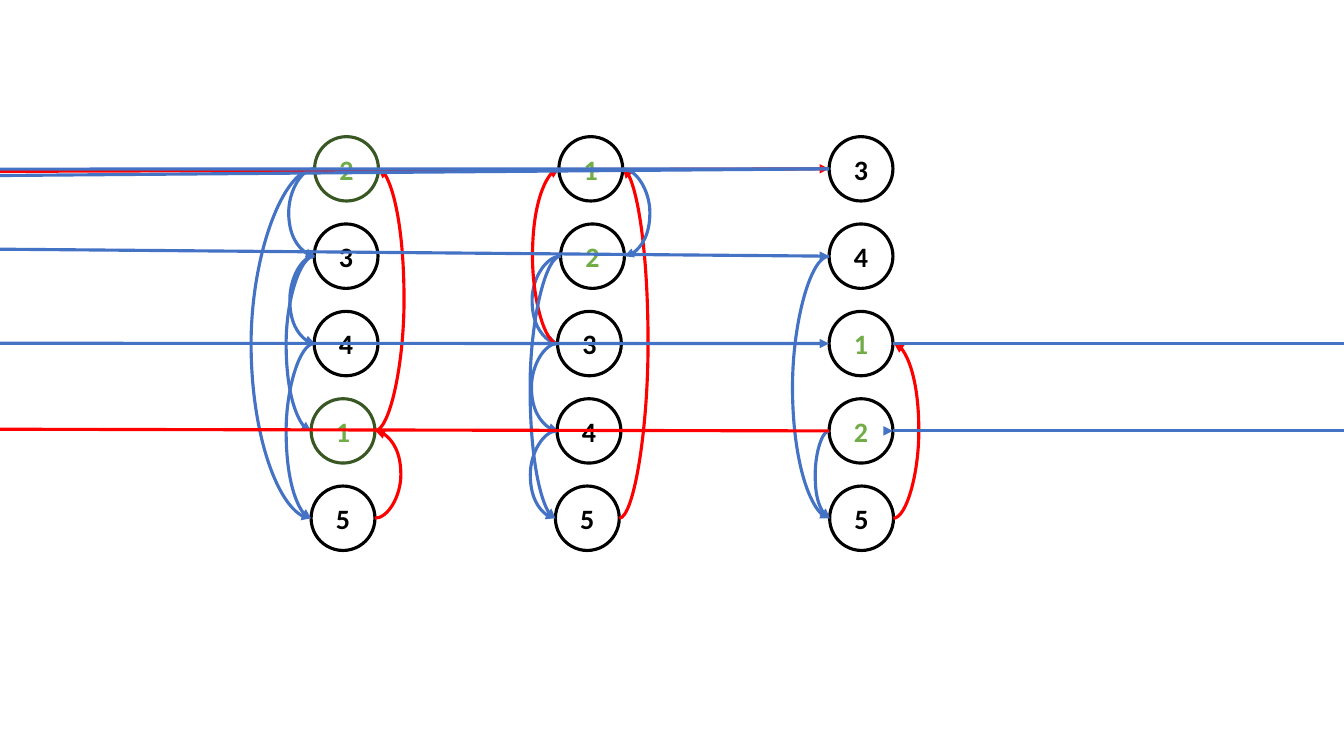
from lxml.etree import SubElement
from pptx import Presentation
from pptx.dml.color import RGBColor
from pptx.enum.shapes import MSO_CONNECTOR as LINK, MSO_SHAPE
from pptx.enum.text import MSO_ANCHOR, PP_ALIGN
from pptx.oxml.ns import qn
from pptx.util import Pt

BLACK = RGBColor(0x00, 0x00, 0x00)
WHITE = RGBColor(0xFF, 0xFF, 0xFF)
DARK_GREEN = RGBColor(0x38, 0x57, 0x23)
GREEN = RGBColor(0x70, 0xAD, 0x47)
RED = RGBColor(0xFF, 0x00, 0x00)
BLUE = RGBColor(0x44, 0x72, 0xC4)

SLIDE_W, SLIDE_H = 960, 540
NODE_W, NODE_H = 45.6, 46
LINE_W = 2.25
FIRST_ROW, ROW_STEP = 120.6, 62.4
MIN_SPAN = 0.5  # a curve's bend is a share of its width, so the width may not be zero

# Nodes from top to bottom: label, centre x, label colour, outline colour.
# Curves: from row, to row, x of the bend, colour.
COLUMNS = [
    (
        [("2", 247.5, GREEN, DARK_GREEN), ("3", 247.2, BLACK, BLACK),
         ("4", 247.2, BLACK, BLACK), ("1", 245, GREEN, DARK_GREEN),
         ("5", 245, BLACK, BLACK)],
        [(4, 3, 286, RED), (3, 0, 288.7, RED), (0, 1, 206.6, BLUE),
         (1, 2, 207.4, BLUE), (2, 4, 204.5, BLUE), (1, 3, 204.5, BLUE),
         (0, 4, 179.3, BLUE)],
    ),
    (
        [("1", 422, GREEN, BLACK), ("2", 423.2, GREEN, BLACK),
         ("3", 421, BLACK, BLACK), ("4", 420.7, BLACK, BLACK),
         ("5", 419.5, BLACK, BLACK)],
        [(4, 0, 463, RED), (0, 1, 464.4, BLUE), (1, 2, 380.2, BLUE),
         (2, 3, 380, BLUE), (3, 4, 378.7, BLUE), (2, 0, 380.2, RED),
         (1, 4, 378.7, BLUE)],
    ),
    (
        [("3", 615, BLACK, BLACK), ("4", 615, BLACK, BLACK),
         ("1", 615, GREEN, BLACK), ("2", 615, GREEN, BLACK),
         ("5", 615.4, BLACK, BLACK)],
        [(4, 2, 656, RED), (1, 4, 566.6, BLUE), (3, 4, 582.5, BLUE)],
    ),
]


def row_y(row):
    return FIRST_ROW + row * ROW_STEP


def add_link(shapes, kind, start, end, color, arrow=True):
    link = shapes.add_connector(kind, *(Pt(v) for v in (*start, *end)))
    link.line.color.rgb = color
    link.line.width = Pt(LINE_W)
    if arrow:
        SubElement(link.line._ln, qn("a:tailEnd"), type="triangle")
    SubElement(link._element.spPr, qn("a:effectLst"))
    return link


prs = Presentation()
prs.slide_width, prs.slide_height = Pt(SLIDE_W), Pt(SLIDE_H)
slide = prs.slides.add_slide(prs.slide_layouts[6])

for nodes, curves in COLUMNS:
    column = slide.shapes.add_group_shape().shapes
    for row, (label, center_x, label_color, outline) in enumerate(nodes):
        node = column.add_shape(
            MSO_SHAPE.OVAL, Pt(center_x - NODE_W / 2), Pt(row_y(row) - NODE_H / 2),
            Pt(NODE_W), Pt(NODE_H))
        node.shadow.inherit = False
        node.fill.solid()
        node.fill.fore_color.rgb = WHITE
        node.line.color.rgb = outline
        node.line.width = Pt(LINE_W)
        node.text_frame.vertical_anchor = MSO_ANCHOR.MIDDLE
        paragraph = node.text_frame.paragraphs[0]
        paragraph.alignment = PP_ALIGN.CENTER
        run = paragraph.add_run()
        run.text = label
        run.font.name = "Calibri"
        run.font.size = Pt(20)
        run.font.bold = True
        run.font.color.rgb = label_color

    for start_row, end_row, bend_x, color in curves:
        start_center, end_center = nodes[start_row][1], nodes[end_row][1]
        side = NODE_W / 2 if bend_x > start_center else -NODE_W / 2
        start_x, end_x = start_center + side, end_center + side
        if abs(end_x - start_x) < MIN_SPAN:
            end_x = start_x + MIN_SPAN
        curve = add_link(column, LINK.CURVE, (start_x, row_y(start_row)),
                         (end_x, row_y(end_row)), color)
        bend = round((bend_x - start_x) / (end_x - start_x) * 100000)
        guides = curve._element.spPr.find(qn("a:prstGeom")).get_or_add_avLst()
        SubElement(guides, qn("a:gd"), name="adj1", fmla=f"val {bend}")

# Long links between the last column and the slide edges
left_side, right_side = 615 - NODE_W / 2, 615 + NODE_W / 2
for start, end, color, arrow in [
    ((left_side, row_y(3)), (0, 306.6), RED, False),
    ((0, 122.4), (left_side, row_y(0)), RED, True),
    ((left_side, row_y(0)), (0, 120.8), BLUE, False),
    ((left_side, row_y(0)), (0, 125.4), BLUE, False),
    ((0, 178), (left_side, row_y(1)), BLUE, True),
    ((0, 245.2), (left_side, row_y(2)), BLUE, True),
    ((right_side, row_y(2)), (SLIDE_W, row_y(2)), BLUE, False),
    ((right_side, row_y(3)), (SLIDE_W, row_y(3)), BLUE, False),
    ((right_side - 6, row_y(3)), (right_side, row_y(3)), BLUE, True),
]:
    add_link(slide.shapes, LINK.STRAIGHT, start, end, color, arrow)

prs.save("out.pptx")
